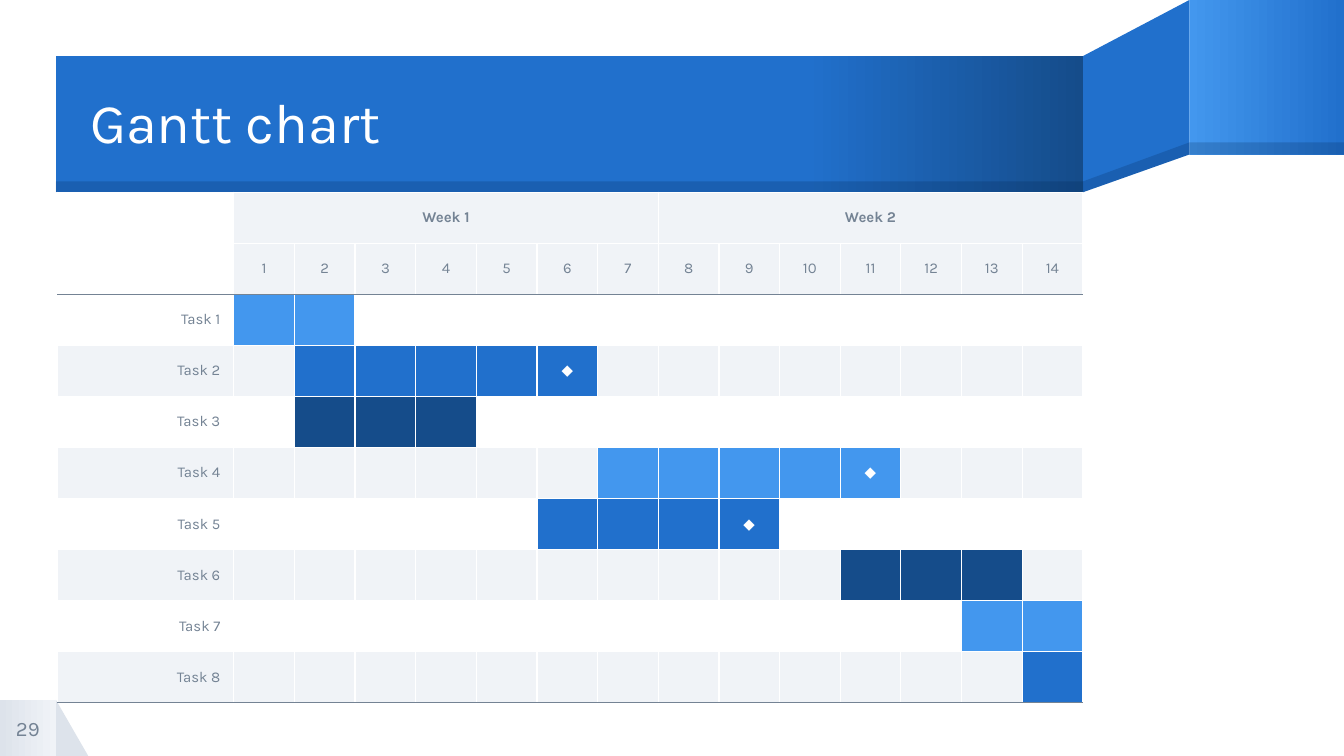
from lxml.etree import SubElement
from pptx import Presentation
from pptx.dml.color import RGBColor
from pptx.enum.shapes import MSO_SHAPE as SHAPE
from pptx.enum.text import MSO_ANCHOR as ANCHOR, PP_ALIGN as ALIGN
from pptx.oxml.ns import qn
from pptx.util import Inches, Pt

# Content
TITLE, PAGE = "Gantt chart", "29"
WEEKS, DAYS = ["Week 1", "Week 2"], 7
MARK = "◆"
TASKS = [  # name, first day, last day, colour, milestone at the end
    ("Task 1", 1, 2, "sky", False),
    ("Task 2", 2, 6, "blue", True),
    ("Task 3", 2, 4, "navy", False),
    ("Task 4", 7, 11, "sky", True),
    ("Task 5", 6, 9, "blue", True),
    ("Task 6", 11, 13, "navy", False),
    ("Task 7", 13, 14, "sky", False),
    ("Task 8", 14, 14, "blue", False),
]

# Format
C = dict(white="FFFFFF", sky="4397EE", blue="2170CC", navy="154C8A",
         shade="001F46", pale="F0F3F7", mist="DDE3EB", grey="748394")
FONT = "Karla"
W = 10
H = W * 9 / 16
EDGE = W / 24                    # left and top margin, page tab side
BAND_R, BAND_B = 8.06, 1.43      # right and bottom of the title band
FOLD_X, FOLD_B = 8.85, 1.15      # where the ribbon folds, and its bottom there
LIP = 0.08                       # dark strip under the ribbon
TABLE_X, NAME_W, ROW_H = 0.43, 1.31, 0.38
TABLE_W = BAND_R - TABLE_X
N_DAYS = DAYS * len(WEEKS)
DAY_W = (TABLE_W - NAME_W) / N_DAYS

prs = Presentation()
prs.slide_width, prs.slide_height = Inches(W), Inches(H)
s = prs.slides.add_slide(prs.slide_layouts[6])


def rgb(name):
    return RGBColor.from_string(C[name])


def paint(sp, color, alpha=None):
    """Fill with one colour, or with a list of (percent, colour) stops."""
    sp.shadow.inherit = False
    sp.line.fill.background()
    if isinstance(color, str):
        sp.fill.solid()
        sp.fill.fore_color.rgb = rgb(color)
        if alpha:
            clr = sp._element.spPr.find(".//" + qn("a:srgbClr"))
            SubElement(clr, qn("a:alpha"), val=str(alpha * 1000))
        return
    sp.fill.gradient()
    sp.fill.gradient_angle = 0
    stops = sp._element.spPr.find(".//" + qn("a:gsLst"))
    for old in list(stops):
        stops.remove(old)
    for pos, name in color:
        gs = SubElement(stops, qn("a:gs"), pos=str(pos * 1000))
        SubElement(gs, qn("a:srgbClr"), val=C[name])


def block(kind, x, y, w, h, color, alpha=None):
    paint(s.shapes.add_shape(kind, *map(Inches, (x, y, w, h))), color, alpha)


def outline(points, color, alpha=None):
    pts = [(Inches(x), Inches(y)) for x, y in points]
    fb = s.shapes.build_freeform(*pts[0])
    fb.add_line_segments(pts[1:], close=True)
    paint(fb.convert_to_shape(), color, alpha)


def write(p, text, size, color, align=ALIGN.LEFT, bold=False):
    p.alignment = align
    r = p.add_run()
    r.text = text
    for key, value in dict(name=FONT, size=Pt(size), bold=bold).items():
        setattr(r.font, key, value)
    r.font.color.rgb = rgb(color)


def label(x, y, w, h, *args):
    tf = s.shapes.add_textbox(*map(Inches, (x, y, w, h))).text_frame
    fmt = dict(margin_left=0, margin_top=0, margin_right=0, margin_bottom=0,
               word_wrap=True, vertical_anchor=ANCHOR.MIDDLE)
    for key, value in fmt.items():
        setattr(tf, key, value)
    write(tf.paragraphs[0], *args)
    return tf.paragraphs[0]


# Page tab
tab_y = H - EDGE
block(SHAPE.RIGHT_TRIANGLE, EDGE, tab_y, 0.24, EDGE, "mist")
block(SHAPE.RECTANGLE, 0, tab_y, EDGE, EDGE, [(0, "mist"), (100, "pale")])

# Ribbon: slanted fold, right end, title band
band_w, end_w = BAND_R - EDGE, W - FOLD_X
outline([(FOLD_X, 0), (BAND_R, EDGE), (BAND_R, BAND_B), (FOLD_X, FOLD_B)], "blue")
block(SHAPE.RECTANGLE, FOLD_X, 0, end_w, FOLD_B, [(0, "sky"), (100, "blue")])
block(SHAPE.RECTANGLE, EDGE, EDGE, band_w, BAND_B - EDGE,
      [(0, "blue"), (73, "blue"), (100, "navy")])

# Ribbon shading
lip_y, end_lip_y = BAND_B - LIP, FOLD_B - 0.09
outline([(FOLD_X, end_lip_y), (BAND_R, lip_y), (BAND_R, BAND_B), (FOLD_X, FOLD_B)],
        "shade", 20)
block(SHAPE.RECTANGLE, FOLD_X, end_lip_y, end_w, 0.09, "shade", 20)
block(SHAPE.RECTANGLE, EDGE, lip_y, band_w, LIP, "shade", 20)

# Title and page number
title_x = 0.67
label(title_x, 0.43, BAND_R - title_x, 1.01, TITLE, 30, "white").line_spacing = 0.9
label(0, tab_y, EDGE, EDGE, PAGE, 11, "grey", ALIGN.CENTER)

# Gantt table
n_rows = 2 + len(TASKS)
frame = s.shapes.add_table(n_rows, 1 + N_DAYS, Inches(TABLE_X), Inches(BAND_B),
                           Inches(TABLE_W), Inches(ROW_H * n_rows))
table = frame.table
table.first_row = table.horz_banding = False
for row in table.rows:
    row.height = Inches(ROW_H)
for i, col in enumerate(table.columns):
    col.width = Inches(DAY_W if i else NAME_W)


def cell_style(row, col):
    """Return text, text colour, alignment, bold and fill of a cell."""
    if row < 2:
        if col == 0:
            return "", "grey", ALIGN.CENTER, False, None
        week, day = divmod(col - 1, DAYS)
        text = str(col) if row else WEEKS[week] if day == 0 else ""
        return text, "grey", ALIGN.CENTER, row == 0, "pale"
    name, first, last, color, milestone = TASKS[row - 2]
    stripe = "pale" if row % 2 else None
    if col == 0:
        return name, "grey", ALIGN.RIGHT, False, stripe
    text = MARK if milestone and col == last else ""
    return text, "white", ALIGN.CENTER, False, color if first <= col <= last else stripe


def set_borders(cell, row):
    rules = dict(L="white", R="white",
                 T="grey" if row == 2 else "white",
                 B="grey" if row in (1, n_rows - 1) else "white")
    for side, name in rules.items():
        ln = SubElement(cell._tc.get_or_add_tcPr(), qn("a:ln" + side), w=str(Pt(0.75)))
        SubElement(SubElement(ln, qn("a:solidFill")), qn("a:srgbClr"), val=C[name])


for row in range(n_rows):
    for col in range(1 + N_DAYS):
        cell = table.cell(row, col)
        text, color, align, bold, fill = cell_style(row, col)
        set_borders(cell, row)
        cell.vertical_anchor = ANCHOR.MIDDLE
        if fill:
            cell.fill.solid()
            cell.fill.fore_color.rgb = rgb(fill)
        else:
            cell.fill.background()
        p = cell.text_frame.paragraphs[0]
        if text:
            write(p, text, 8, color, align, bold)
        else:  # keeps empty cells from stretching the row
            SubElement(p._p, qn("a:endParaRPr"), sz="800")

for start in range(1, N_DAYS, DAYS):
    table.cell(0, start).merge(table.cell(0, start + DAYS - 1))

prs.save("out.pptx")
